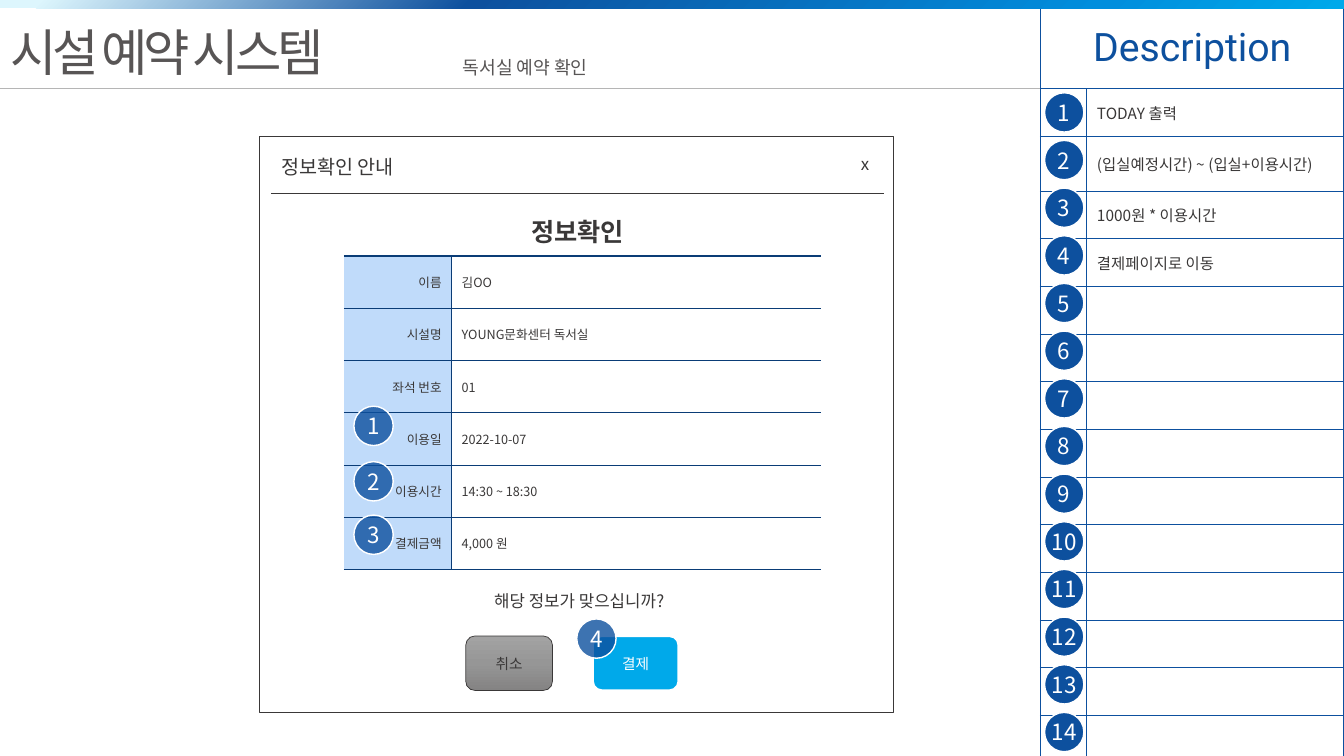
"""Build the reading-room reservation confirmation screen with its description panel."""
from dataclasses import dataclass

import lxml.etree
import pptx
import pptx.dml.color
import pptx.enum.shapes
import pptx.enum.text
import pptx.oxml
import pptx.oxml.ns
import pptx.util

Inches = pptx.util.Inches
Pt = pptx.util.Pt
qn = pptx.oxml.ns.qn
SHAPE = pptx.enum.shapes.MSO_SHAPE
ALIGN = pptx.enum.text.PP_ALIGN
ANCHOR = pptx.enum.text.MSO_ANCHOR

KOREAN_FONT = "Noto Sans CJK KR"
PLAIN_TABLE_STYLE = "{2D5ABB26-0587-4C30-8999-92F81FD0307C}"
BLUE, NAVY, SKY, PALE = "0D509E", "0A3C76", "00A9EA", "C0DBFA"
INK, GRAY, SILVER, WHITE = "3A3838", "585555", "B5B5B5", "FFFFFF"
BADGE_SIZE = 0.39


@dataclass(frozen=True)
class Label:
    """A line of free text and its place."""
    text: str
    left: float
    top: float
    width: float
    height: float
    size: float
    color: str = INK
    bold: bool = False
    align: ALIGN = ALIGN.LEFT
    wrap: bool = True


@dataclass(frozen=True)
class Badge:
    """A numbered circle and its place."""
    number: int
    left: float
    top: float
    opacity: int = 100


@dataclass(frozen=True)
class Rule:
    """A horizontal line."""
    left: float
    right: float
    top: float
    color: str
    weight: float


LABELS = [
    Label("독서실 예약 확인", 4.49, 0.51, 1.56, 0.32, 13, GRAY, wrap=False),
    Label("정보확인 안내", 2.69, 1.49, 1.75, 0.34, 14),
    Label("x", 8.44, 1.48, 0.34, 0.3, 12),
    Label("해당 정보가 맞으십니까?", 4.23, 5.81, 3.03, 0.3, 12, align=ALIGN.CENTER),
    Label("정보확인", 5.17, 2.1, 1.21, 0.4, 18, bold=True, wrap=False),
]
PANEL_ROWS = 14
PANEL_PITCH = 6.62 / PANEL_ROWS
PANEL_BADGES = [Badge(row + 1, 10.36, 0.92 + row * PANEL_PITCH) for row in range(PANEL_ROWS)]
SCREEN_BADGES = [Badge(1, 3.51, 4.03, 80), Badge(4, 5.72, 6.14, 80),
                 Badge(2, 3.51, 4.58, 80), Badge(3, 3.51, 5.11, 80)]
DESCRIPTIONS = ["TODAY 출력", "(입실예정시간) ~ (입실+이용시간)", "1000원 * 이용시간", "결제페이지로 이동"]
BOOKING = [("이름", "김OO"), ("시설명", "YOUNG문화센터 독서실"), ("좌석 번호", "01"),
           ("이용일", "2022-10-07"), ("이용시간", "14:30 ~ 18:30"), ("결제금액", "4,000 원")]


def rgb(color: str) -> pptx.dml.color.RGBColor:
    """Turn a hex string into a colour."""
    return pptx.dml.color.RGBColor.from_string(color)


def write(frame, text: str, *, size: float, color: str, font: str = KOREAN_FONT,
          bold: bool = False, align: ALIGN = ALIGN.LEFT, spacing: int = 0) -> None:
    """Put one formatted span into a text frame."""
    para = frame.paragraphs[0]
    para.alignment = align
    span = para.add_run()
    span.text = text
    span.font.size = Pt(size)
    span.font.bold = bold
    span.font.name = font
    span.font.color.rgb = rgb(color)
    properties = span.font._element
    if spacing:
        properties.set("spc", str(spacing * 100))
    lxml.etree.SubElement(properties, qn("a:ea")).set("typeface", font)


def add_box(page, kind: SHAPE, left: float, top: float, width: float, height: float, *,
            fill: str = WHITE, line: str = "", weight: float = 1):
    """Add a flat filled shape, outlined when a line colour is given."""
    box = page.shapes.add_shape(kind, Inches(left), Inches(top), Inches(width), Inches(height))
    box.shadow.inherit = False
    box.fill.solid()
    box.fill.fore_color.rgb = rgb(fill)
    if line:
        box.line.color.rgb = rgb(line)
        box.line.width = Pt(weight)
    else:
        box.line.fill.background()
    box.text_frame.vertical_anchor = ANCHOR.MIDDLE
    return box


def set_gradient(box, stops: list[tuple[int, str]], angle: int) -> None:
    """Fill a shape with a linear gradient of percent and colour stops."""
    box.fill.gradient()
    gradient = box._element.spPr.find(qn("a:gradFill"))
    stop_list = gradient.find(qn("a:gsLst"))
    for old_stop in list(stop_list):
        stop_list.remove(old_stop)
    for percent, color in stops:
        stop = lxml.etree.SubElement(stop_list, qn("a:gs"), pos=str(percent * 1000))
        lxml.etree.SubElement(stop, qn("a:srgbClr"), val=color)
    gradient.find(qn("a:lin")).set("ang", str(angle * 60000))


def add_label(page, label: Label) -> None:
    """Add a text box."""
    box = page.shapes.add_textbox(Inches(label.left), Inches(label.top),
                                  Inches(label.width), Inches(label.height))
    box.text_frame.word_wrap = label.wrap
    write(box.text_frame, label.text, size=label.size, color=label.color,
          bold=label.bold, align=label.align)


def add_badge(page, badge: Badge) -> None:
    """Add a numbered circle."""
    box = add_box(page, SHAPE.OVAL, badge.left, badge.top, BADGE_SIZE, BADGE_SIZE,
                  fill=BLUE, line=WHITE)
    if badge.opacity < 100:
        color = box._element.spPr.find(qn("a:solidFill")).find(qn("a:srgbClr"))
        lxml.etree.SubElement(color, qn("a:alpha"), val=str(badge.opacity * 1000))
    frame = box.text_frame
    frame.margin_left = frame.margin_right = frame.margin_top = frame.margin_bottom = 0
    write(frame, str(badge.number), size=16, color=WHITE, align=ALIGN.CENTER)


def add_rule(page, rule: Rule) -> None:
    """Add a horizontal line."""
    line = page.shapes.add_connector(pptx.enum.shapes.MSO_CONNECTOR.STRAIGHT, Inches(rule.left),
                                     Inches(rule.top), Inches(rule.right), Inches(rule.top))
    line.line.color.rgb = rgb(rule.color)
    line.line.width = Pt(rule.weight)
    lxml.etree.SubElement(line._element.spPr, qn("a:effectLst"))


def add_button(page, text: str, left: float, width: float, color: str, **look):
    """Add a rounded button."""
    box = add_box(page, SHAPE.ROUNDED_RECTANGLE, left, 6.31, width, 0.54, **look)
    write(box.text_frame, text, size=10.5, color=color, align=ALIGN.CENTER)
    return box


def add_grid(page, left: float, top: float, widths: list[float], heights: list[float]):
    """Add an unstyled table with the given column widths and row heights."""
    frame = page.shapes.add_table(len(heights), len(widths), Inches(left), Inches(top),
                                  Inches(sum(widths)), Inches(sum(heights)))
    table = frame.table
    table.first_row = table.horz_banding = False
    table._tbl.tblPr.find(qn("a:tableStyleId")).text = PLAIN_TABLE_STYLE
    for column, width in zip(table.columns, widths):
        column.width = Inches(width)
    for row, height in zip(table.rows, heights):
        row.height = Inches(height)
    return table


def format_cell(cell, color: str, weights: dict[str, float], fill: str = "") -> None:
    """Set the borders, given by side in L, R, T, B order, and the fill of a cell."""
    cell.vertical_anchor = ANCHOR.MIDDLE
    properties = cell._tc.get_or_add_tcPr()
    for side, weight in weights.items():
        border = lxml.etree.SubElement(properties, qn(f"a:ln{side}"), w=str(Pt(weight)))
        solid = lxml.etree.SubElement(border, qn("a:solidFill"))
        lxml.etree.SubElement(solid, qn("a:srgbClr"), val=color)
    if fill:
        cell.fill.solid()
        cell.fill.fore_color.rgb = rgb(fill)
    else:
        cell.fill.background()


def add_description_panel(page) -> None:
    """Add the description table on the right."""
    table = add_grid(page, 10.32, 0.08, [0.46, 2.55], [0.8] + [PANEL_PITCH] * PANEL_ROWS)
    for cell in table.iter_cells():
        format_cell(cell, BLUE, dict.fromkeys("LRTB", 1))
    table.cell(0, 0).merge(table.cell(0, 1))
    write(table.cell(0, 0).text_frame, "Description", size=28, color=BLUE,
          font="Roboto", align=ALIGN.CENTER)
    for row, text in enumerate(DESCRIPTIONS, start=1):
        write(table.cell(row, 1).text_frame, text, size=11, color=INK)


def add_booking_table(page) -> None:
    """Add the table of booking details."""
    table = add_grid(page, 3.41, 2.54, [1.07, 3.66], [3.11 / len(BOOKING)] * len(BOOKING))
    for row, (name, value) in enumerate(BOOKING):
        edges = {"T": 1 if row == 0 else 0.5, "B": 1 if row == len(BOOKING) - 1 else 0.5}
        format_cell(table.cell(row, 0), NAVY, {"R": 0.5, **edges}, PALE)
        format_cell(table.cell(row, 1), NAVY, {"L": 0.5, **edges})
        write(table.cell(row, 0).text_frame, name, size=9, color=INK, align=ALIGN.RIGHT)
        write(table.cell(row, 1).text_frame, value, size=9, color=INK)


def add_title(page) -> None:
    """Place and format the page title."""
    title = page.shapes.title
    title.left, title.top, title.width, title.height = map(Inches, (0, 0.16, 3.71, 0.71))
    title.text_frame.word_wrap = False
    title.text_frame.vertical_anchor = ANCHOR.TOP
    write(title.text_frame, "시설 예약 시스템", size=36, color=GRAY, spacing=-3)


def main() -> None:
    """Build and save the deck."""
    deck = pptx.Presentation()
    deck.slide_width, deck.slide_height = Inches(13.33), Inches(7.5)
    page = deck.slides.add_slide(deck.slide_layouts[5])
    add_title(page)
    add_description_panel(page)
    add_rule(page, Rule(0, 10.32, 0.88, SILVER, 1))
    banner = add_box(page, SHAPE.RECTANGLE, 0, 0, 13.33, 0.08)
    set_gradient(banner, [(3, "DDF6FD"), (35, BLUE), (82, "018EDD"), (100, SKY)], 45)
    add_box(page, SHAPE.RECTANGLE, 2.57, 1.35, 6.29, 5.72, line=INK, weight=0.5)
    add_rule(page, Rule(2.69, 8.77, 1.92, INK, 0.5))
    add_button(page, "결제", 5.88, 0.85, WHITE, fill=SKY, line=WHITE, weight=1.5)
    cancel = add_button(page, "취소", 4.62, 0.86, INK, line=INK, weight=0.5)
    set_gradient(cancel, [(0, "A3A3A3"), (50, "969696"), (100, "848383")], 90)
    add_booking_table(page)
    for label in LABELS:
        add_label(page, label)
    for badge in PANEL_BADGES + SCREEN_BADGES:
        add_badge(page, badge)
    deck.save("out.pptx")


if __name__ == "__main__":
    main()
